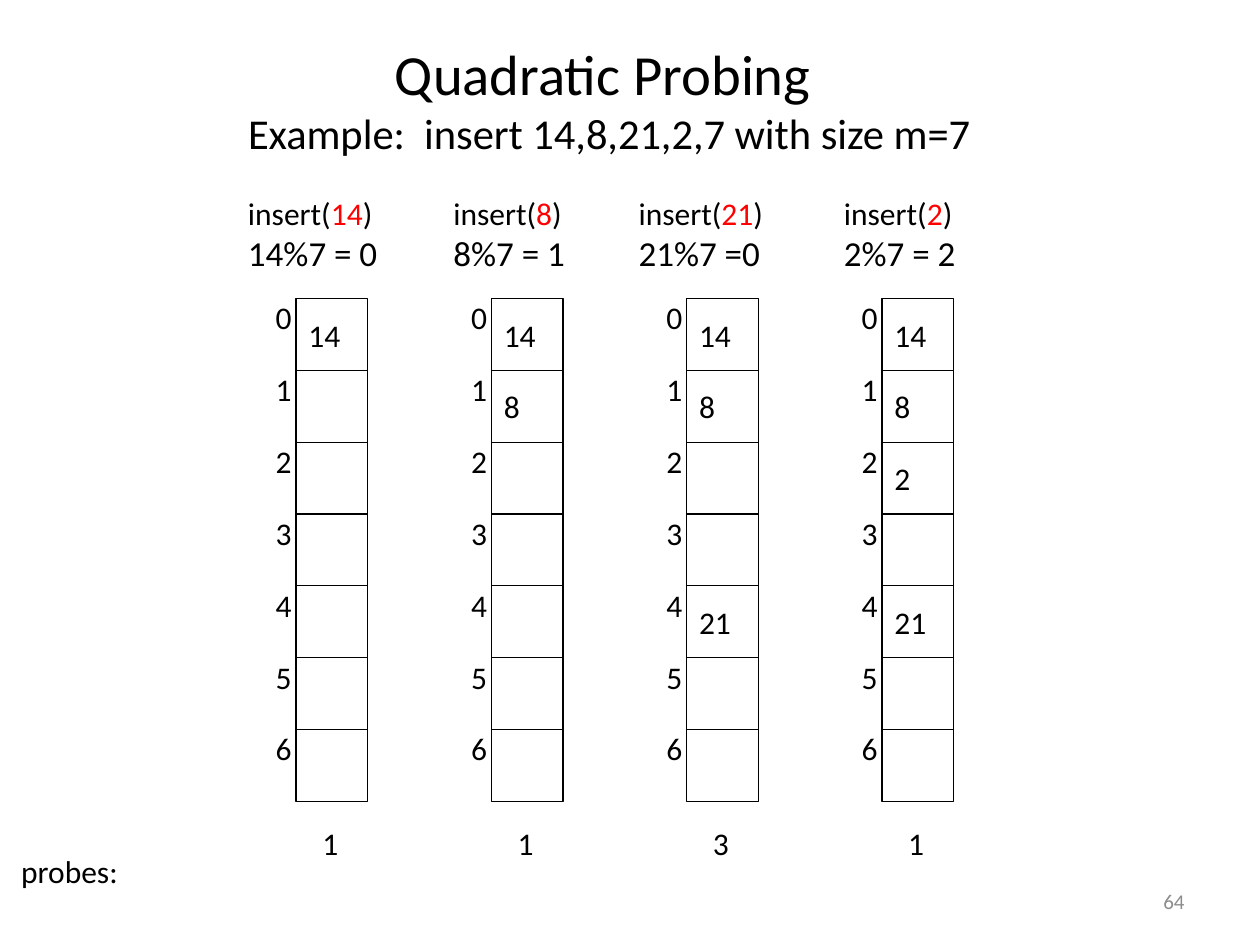
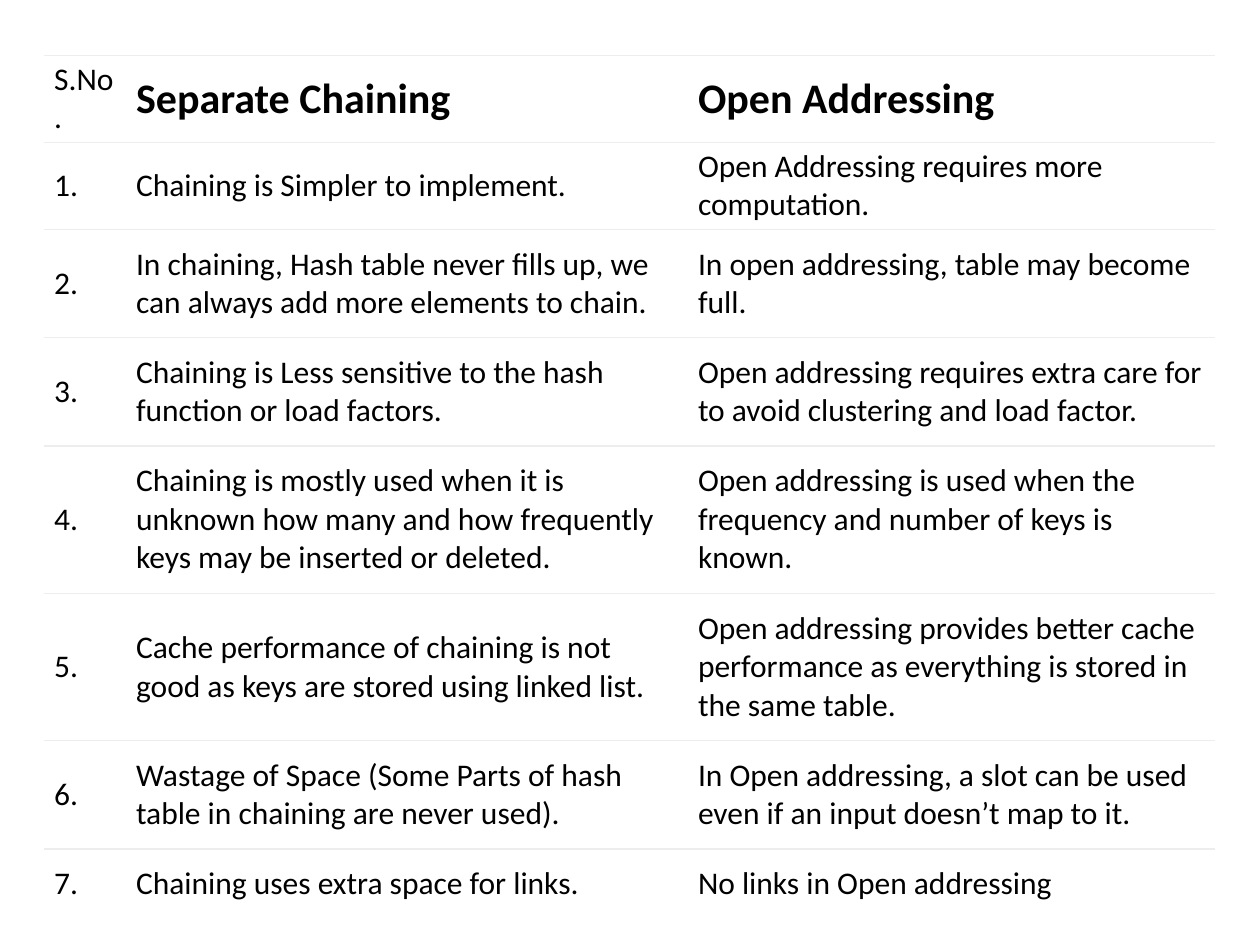
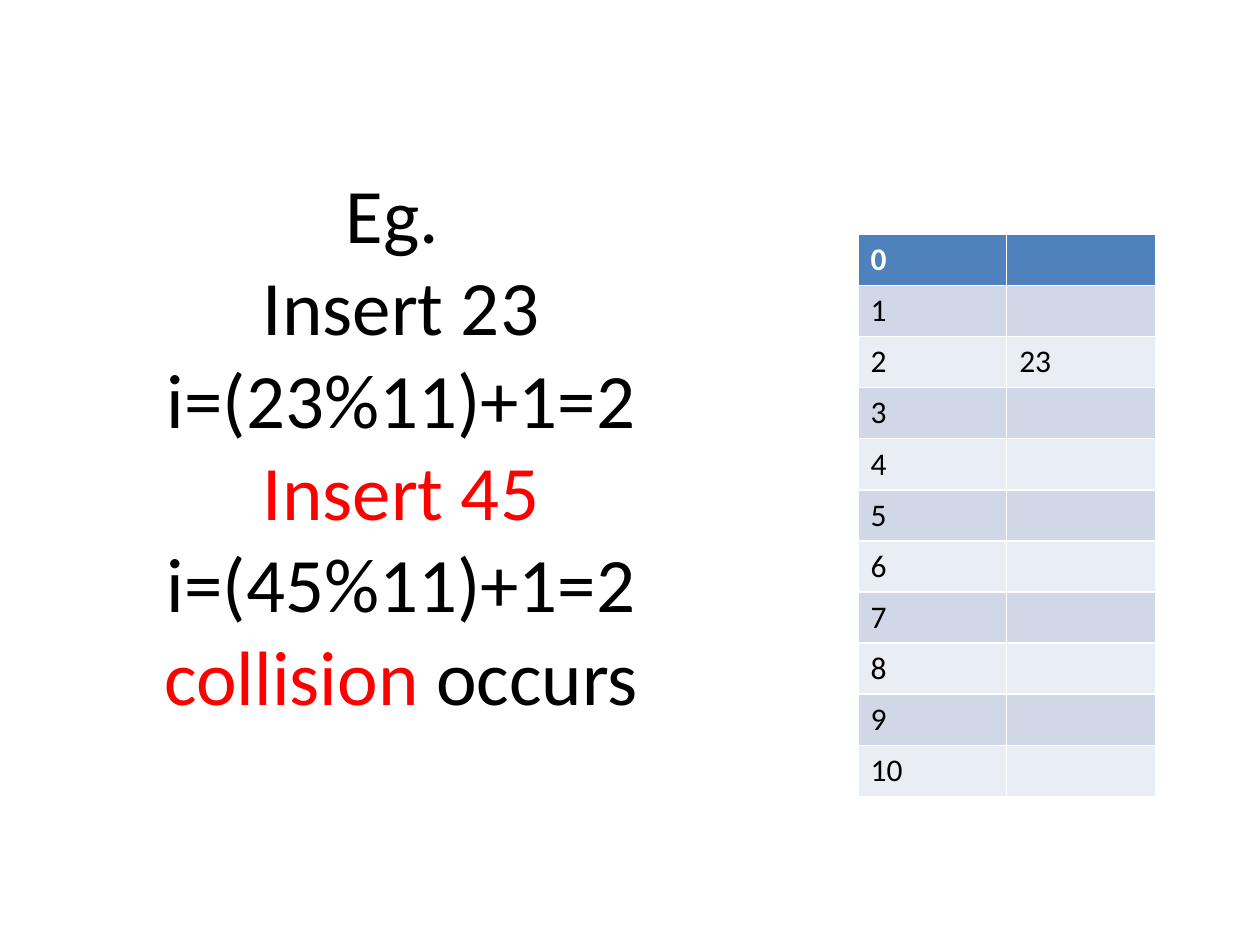
import pptx
import pptx.dml.color
import pptx.enum.shapes
import pptx.enum.text
import pptx.oxml
import pptx.oxml.ns
import pptx.util

Inches = pptx.util.Inches
Pt = pptx.util.Pt
ALIGN = pptx.enum.text.PP_ALIGN
ANCHOR = pptx.enum.text.MSO_ANCHOR

# Shared look
FONT = "Calibri"
COLOURS = {
    "text": "000000",
    "accent": "FF0000",
    "muted": "8C8C8C",
    "paper": "FFFFFF",
    "rule": "EDEDED",
    "header": "4F81BD",
    "band_dark": "D0D8E8",
    "band_light": "E9EDF4",
}
TITLE_ONLY, BLANK = 5, 6
NO_STYLE_NO_GRID = "{2D5ABB26-0587-4C30-8999-92F81FD0307C}"

# Hash table diagram: key, remainder line, heading left and width, slots, probes
INSERTIONS = [
    ("14", "14%7 = 0", 1.87, 1.5, {0: "14"}, "1"),
    ("8", "8%7 = 1", 3.5, 1.33, {0: "14", 1: "8"}, "1"),
    ("21", "21%7 =0", 4.97, 1.5, {0: "14", 1: "8", 4: "21"}, "3"),
    ("2", "2%7 = 2", 6.6, 1.33, {0: "14", 1: "8", 2: "2", 4: "21"}, "1"),
]
SLOT_COUNT, SLOT_SIZE = 7, 0.57
FIRST_SLOT_LEFT, FIRST_SLOT_TOP, HASH_TABLE_STEP = 2.35, 2.37, 1.55

COMPARISON = [
    ("S.No.", "Separate Chaining", "Open Addressing"),
    ("1.", "Chaining is Simpler to implement.",
     "Open Addressing requires more computation."),
    ("2.", "In chaining, Hash table never fills up, we can always add more elements to chain.",
     "In open addressing, table may become full."),
    ("3.", "Chaining is Less sensitive to the hash function or load factors.",
     "Open addressing requires extra care for to avoid clustering and load factor."),
    ("4.", "Chaining is mostly used when it is unknown how many and how frequently keys "
     "may be inserted or deleted.",
     "Open addressing is used when the frequency and number of keys is known."),
    ("5.", "Cache performance of chaining is not good as keys are stored using linked list.",
     "Open addressing provides better cache performance as everything is stored in "
     "the same table."),
    ("6.", "Wastage of Space (Some Parts of hash table in chaining are never used).",
     "In Open addressing, a slot can be used even if an input doesn’t map to it."),
    ("7.", "Chaining uses extra space for links.", "No links in Open addressing"),
]
COMPARISON_WIDTHS = [0.65, 4.46, 4.18]
COMPARISON_HEIGHTS = [0.69, 0.69, 0.86, 0.86, 1.17, 1.17, 0.86, 0.55]


def rgb(colour):
    return pptx.dml.color.RGBColor.from_string(COLOURS[colour])


def place(shape, left, top, width, height):
    shape.left, shape.top = Inches(left), Inches(top)
    shape.width, shape.height = Inches(width), Inches(height)


def write(paragraph, parts, size=18, colour="text", bold=False, align=ALIGN.LEFT):
    """Write a string, or a list of (text, colour) parts, into a paragraph."""
    if isinstance(parts, str):
        paragraph.text = parts
        paragraph.font.color.rgb = rgb(colour)
    else:
        for text, part_colour in parts:
            run = paragraph.add_run()
            run.text = text
            run.font.color.rgb = rgb(part_colour)
    paragraph.alignment = align
    paragraph.font.name = FONT
    paragraph.font.size = Pt(size)
    paragraph.font.bold = bold


def write_lines(frame, lines, **style):
    """Write (parts, size) lines, one paragraph each."""
    for number, (parts, size) in enumerate(lines):
        paragraph = frame.add_paragraph() if number else frame.paragraphs[0]
        write(paragraph, parts, size, **style)


def set_title(slide, lines, left, top, width, height):
    title = slide.shapes.title
    place(title, left, top, width, height)
    frame = title.text_frame
    frame.auto_size = pptx.enum.text.MSO_AUTO_SIZE.NONE
    frame.vertical_anchor = ANCHOR.MIDDLE
    write_lines(frame, lines, align=ALIGN.CENTER)


def add_label(slide, lines, left, top, width, height, **style):
    label = slide.shapes.add_textbox(
        Inches(left), Inches(top), Inches(width), Inches(height))
    label.text_frame.word_wrap = False
    write_lines(label.text_frame, lines, **style)
    return label


def add_slot(slide, value, left, top):
    slot = slide.shapes.add_shape(
        pptx.enum.shapes.MSO_SHAPE.RECTANGLE,
        Inches(left), Inches(top), Inches(SLOT_SIZE), Inches(SLOT_SIZE))
    slot.shadow.inherit = False
    slot.fill.background()
    slot.line.color.rgb = rgb("text")
    slot.line.width = Pt(0.75)
    slot.text_frame.word_wrap = False
    slot.text_frame.vertical_anchor = ANCHOR.MIDDLE
    if value:
        write(slot.text_frame.paragraphs[0], value)


def add_hash_table(slide, left, slots):
    for index in range(SLOT_COUNT):
        top = FIRST_SLOT_TOP + index * SLOT_SIZE
        add_slot(slide, slots.get(index), left, top)
        add_label(slide, [(str(index), 18)], left - 0.26, top - 0.05, 0.33, 0.4)


def add_grid(slide, left, top, widths, heights):
    frame = slide.shapes.add_table(
        len(heights), len(widths), Inches(left), Inches(top),
        Inches(sum(widths)), Inches(sum(heights)))
    for column, width in zip(frame.table.columns, widths):
        column.width = Inches(width)
    for row, height in zip(frame.table.rows, heights):
        row.height = Inches(height)
    return frame.table


def fill_cell(cell, text, fill, **style):
    cell.fill.solid()
    cell.fill.fore_color.rgb = rgb(fill)
    write(cell.text_frame.paragraphs[0], text, **style)


def rule_cell(cell, sides):
    """Draw thin rules on the given sides (T, B) of a cell."""
    properties = cell._tc.get_or_add_tcPr()
    for side in sides:
        properties.append(pptx.oxml.parse_xml(
            f'<a:ln{side} {pptx.oxml.ns.nsdecls("a")} w="{Pt(0.75)}"><a:solidFill>'
            f'<a:srgbClr val="{COLOURS["rule"]}"/></a:solidFill></a:ln{side}>'))


def build_quadratic_probing(slide):
    set_title(slide, [("Quadratic Probing ", 32.4),
                      ("Example:  insert 14,8,21,2,7 with size m=7", 24.3)],
              0.74, 0.25, 8.19, 1.06)
    number = add_label(slide, [("64", 12)], 7.17, 6.95, 2.33, 0.4,
                       colour="muted", align=ALIGN.RIGHT)
    number.text_frame.word_wrap = True
    number.text_frame.vertical_anchor = ANCHOR.MIDDLE
    add_label(slide, [("probes:", 18)], 0.07, 6.71, 1.18, 0.5)

    for step, (key, remainder, heading_left, heading_width, slots, probes) in enumerate(INSERTIONS):
        left = FIRST_SLOT_LEFT + step * HASH_TABLE_STEP
        call = [("insert(", "text"), (key, "accent"), (")", "text")]
        add_label(slide, [(call, 18), (remainder, 20)],
                  heading_left, 1.49, heading_width, 0.83)
        add_hash_table(slide, left, slots)
        add_label(slide, [(probes, 18)], left + 0.11, 6.49, 0.37, 0.5)


def build_comparison(slide):
    table = add_grid(slide, 0.35, 0.44, COMPARISON_WIDTHS, COMPARISON_HEIGHTS)
    table.first_row = table.horz_banding = False
    table._tbl.tblPr.find(pptx.oxml.ns.qn("a:tableStyleId")).text = NO_STYLE_NO_GRID
    last_row = len(COMPARISON) - 1
    for row, texts in enumerate(COMPARISON):
        for column, text in enumerate(texts):
            cell = table.cell(row, column)
            cell.margin_left = cell.margin_right = Inches(0.08)
            cell.margin_top = cell.margin_bottom = Inches(0.04)
            cell.vertical_anchor = ANCHOR.MIDDLE
            rule_cell(cell, "T" if row == last_row else "TB")
            heading = row == 0 and column > 0
            fill_cell(cell, text, "paper", size=24 if heading else 18, bold=heading)


def build_collision(slide):
    lines = [
        "Eg. ",
        "Insert 23",
        "i=(23%11)+1=2",
        [("Insert 45", "accent")],
        "i=(45%11)+1=2",
        [("collision", "accent"), (" occurs", "text")],
    ]
    set_title(slide, [(line, 44) for line in lines], 0.5, 0.3, 5.37, 6.44)

    # Table of buckets, with one key stored
    stored = {2: "23"}
    buckets = 11
    table = add_grid(slide, 6.81, 1.86, [1.18] * 2, [4.46 / buckets] * buckets)
    for bucket in range(buckets):
        header = bucket == 0
        fill = "header" if header else "band_dark" if bucket % 2 else "band_light"
        for column, text in enumerate((str(bucket), stored.get(bucket, ""))):
            fill_cell(table.cell(bucket, column), text, fill,
                      colour="paper" if header else "text", bold=header)


def main():
    deck = pptx.Presentation()
    deck.slide_width, deck.slide_height = Inches(10), Inches(7.5)
    for layout, build in ((TITLE_ONLY, build_quadratic_probing),
                          (BLANK, build_comparison),
                          (TITLE_ONLY, build_collision)):
        build(deck.slides.add_slide(deck.slide_layouts[layout]))
    deck.save("out.pptx")


if __name__ == "__main__":
    main()
